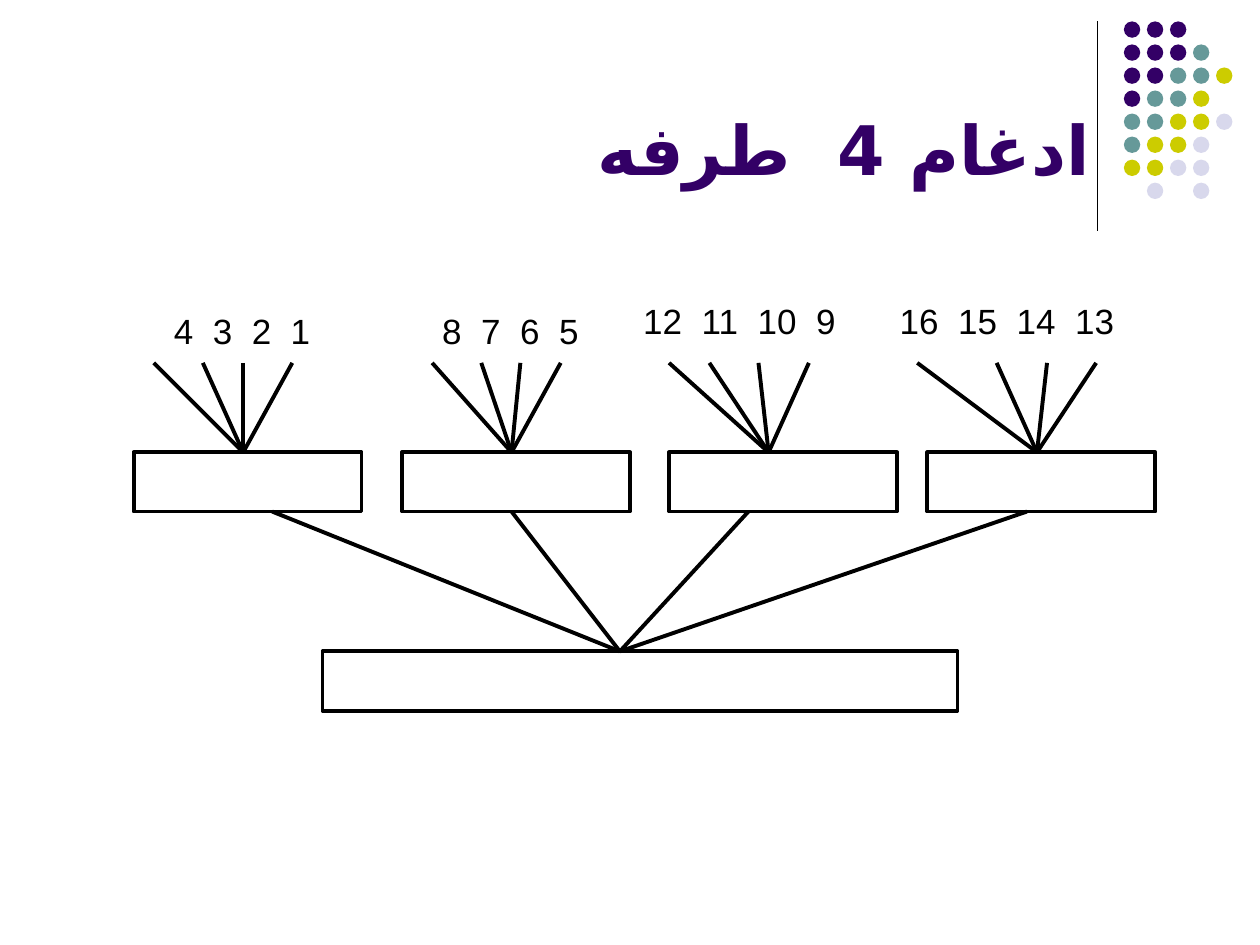
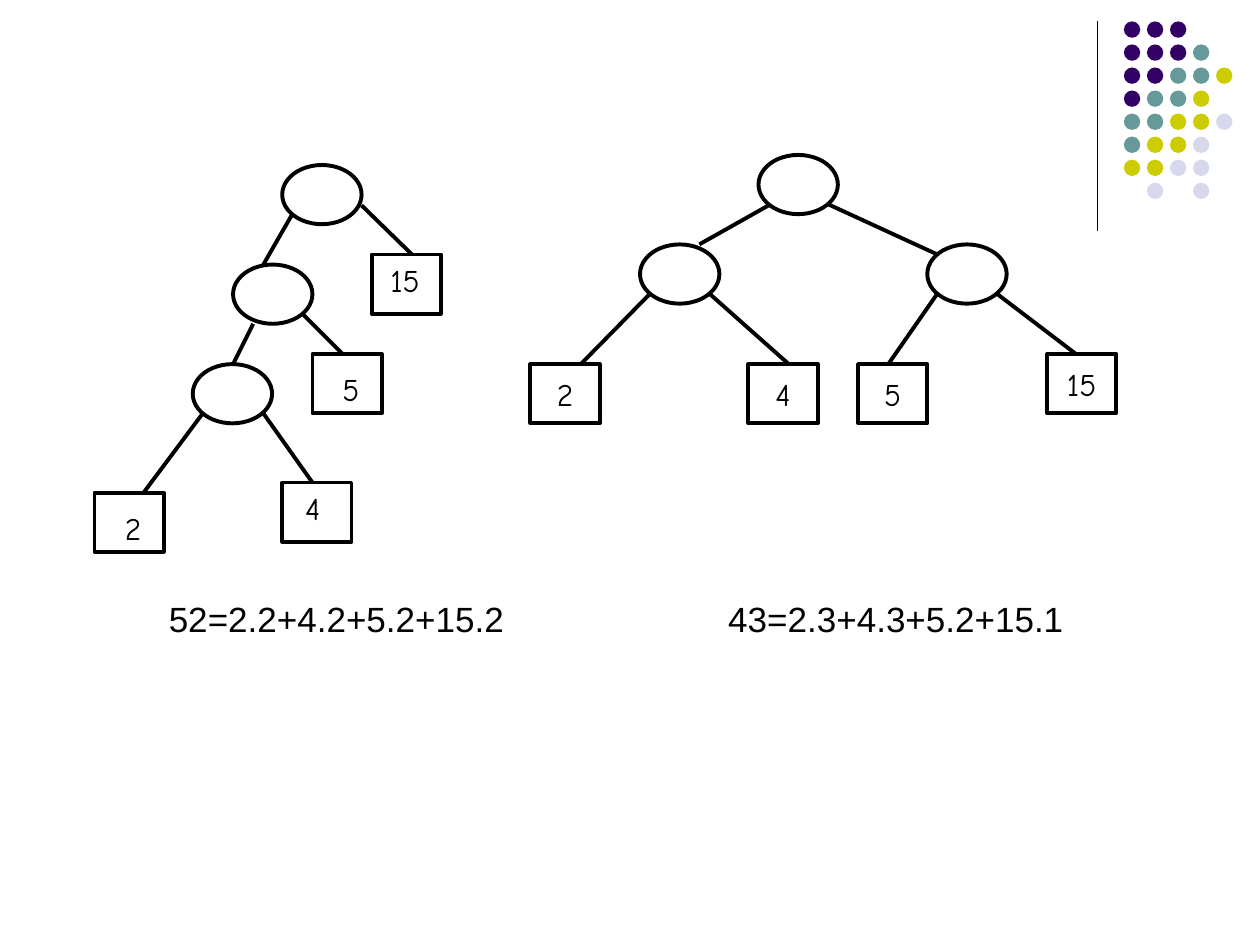
from dataclasses import dataclass

from lxml.etree import SubElement
from pptx import Presentation
from pptx.dml.color import RGBColor
from pptx.enum.shapes import MSO_CONNECTOR, MSO_SHAPE
from pptx.enum.text import MSO_ANCHOR, PP_ALIGN
from pptx.oxml.ns import qn
from pptx.util import Inches, Pt


@dataclass(frozen=True)
class Theme:
    ink: str = "000000"
    paper: str = "FFFFFF"
    purple: str = "330066"
    teal: str = "669999"
    olive: str = "CCCC00"
    lilac: str = "D8D8EC"
    title_font: str = "Karla"
    title_rtl_font: str = "DejaVu Sans"  # Persian letters of the title
    body_font: str = "Comic Neue"
    digit_font: str = "Arial"  # digits in right-to-left paragraphs
    title_size: float = 39
    label_size: float = 20
    node_size: float = 18
    stroke: float = 2.25
    thin: float = 0.75


THEME = Theme()

# Corner dots: one letter per dot, one string per row
DOT_ROWS = ["PPP", "PPPT", "PPTTY", "PTTY", "TTYYL", "TYYL", "YYLL", " L L"]
DOT_COLOURS = {"P": THEME.purple, "T": THEME.teal, "Y": THEME.olive, "L": THEME.lilac}
DOT_SIZE = 0.13
DOT_PITCH = 1.28 / 7

OVAL_SIZE = (0.63, 0.47)
LEAF_SIZE = (0.55, 0.47)


def colour(code):
    return RGBColor.from_string(code)


def add_line(page, start, end, width=THEME.stroke):
    line = page.shapes.add_connector(
        MSO_CONNECTOR.STRAIGHT, *(Inches(value) for value in (*start, *end)))
    line.line.color.rgb = colour(THEME.ink)
    line.line.width = Pt(width)
    SubElement(line._element.spPr, qn("a:effectLst"))


def add_outline(page, kind, left, top, size):
    shape = page.shapes.add_shape(
        kind, Inches(left), Inches(top), *(Inches(side) for side in size))
    shape.shadow.inherit = False
    shape.fill.solid()
    shape.fill.fore_color.rgb = colour(THEME.paper)
    shape.line.color.rgb = colour(THEME.ink)
    shape.line.width = Pt(THEME.stroke)
    return shape


def style_text(frame, size, font, align, ink=THEME.ink, bold=False, rtl_font=None):
    para = frame.paragraphs[0]
    para.alignment = align
    if rtl_font:
        para._p.get_or_add_pPr().set("rtl", "1")
    for span in para.runs:
        span.font.size = Pt(size)
        span.font.name = font
        span.font.bold = bold
        span.font.color.rgb = colour(ink)
        if rtl_font:
            SubElement(span.font._element, qn("a:cs")).set("typeface", rtl_font)


def add_label(page, text, left, top, width, size=THEME.label_size,
              rtl_font=THEME.digit_font):
    box = page.shapes.add_textbox(
        Inches(left), Inches(top), Inches(width), Inches(0.44))
    frame = box.text_frame
    frame.word_wrap = True
    frame.text = text
    style_text(frame, size, THEME.body_font, PP_ALIGN.RIGHT, rtl_font=rtl_font)


def add_leaf(page, left, top, text=""):
    leaf = add_outline(page, MSO_SHAPE.RECTANGLE, left, top, LEAF_SIZE)
    if text:
        frame = leaf.text_frame
        frame.text = text
        frame.word_wrap = False
        frame.vertical_anchor = MSO_ANCHOR.MIDDLE
        style_text(frame, THEME.node_size, THEME.body_font, PP_ALIGN.CENTER)


def add_ovals(page, places):
    for left, top in places:
        add_outline(page, MSO_SHAPE.OVAL, left, top, OVAL_SIZE)


def add_corner(page):
    """Rule and dot pattern at the top right of every page."""
    add_line(page, (8.71, 0.17), (8.71, 1.83), THEME.thin)
    group = page.shapes.add_group_shape()
    for row, letters in enumerate(DOT_ROWS):
        for column, letter in enumerate(letters):
            if letter not in DOT_COLOURS:
                continue
            dot = group.shapes.add_shape(
                MSO_SHAPE.OVAL,
                Inches(8.92 + column * DOT_PITCH), Inches(0.17 + row * DOT_PITCH),
                Inches(DOT_SIZE), Inches(DOT_SIZE))
            dot.shadow.inherit = False
            dot.fill.solid()
            dot.fill.fore_color.rgb = colour(DOT_COLOURS[letter])
            dot.line.fill.background()


def add_title(page, text):
    title = page.shapes.title
    title.left, title.top = Inches(0.5), Inches(0.13)
    title.width, title.height = Inches(8.25), Inches(1.42)
    frame = title.text_frame
    frame.text = text
    frame.vertical_anchor = MSO_ANCHOR.BOTTOM
    style_text(frame, THEME.title_size, THEME.title_font, PP_ALIGN.RIGHT,
               THEME.purple, True, THEME.title_rtl_font)


def build_merge_page(deck):
    page = deck.slides.add_slide(deck.slide_layouts[5])
    add_corner(page)
    add_title(page, "ادغام 4  طرفه")

    # Each run: box left, fan tip, fan starts, exit to the merged run
    runs = [
        (1.06, 1.93, (1.22, 1.61, 1.93, 2.32), 2.16),
        (3.19, 4.06, (3.43, 3.82, 4.13, 4.45), 4.06),
        (5.31, 6.1, (5.31, 5.63, 6.02, 6.42), 5.94),
        (7.36, 8.23, (7.28, 7.91, 8.31, 8.7), 8.15),
    ]
    fan_top, run_top, run_bottom, merged_top = 2.88, 3.59, 4.06, 5.17
    add_outline(page, MSO_SHAPE.RECTANGLE, 2.56, merged_top, (5.04, 0.47))
    for left, tip, starts, exit_x in runs:
        add_outline(page, MSO_SHAPE.RECTANGLE, left, run_top, (1.81, 0.47))
        add_line(page, (exit_x, run_bottom), (4.92, merged_top))
        for start in starts:
            add_line(page, (start, fan_top), (tip, run_top))

    # Input numbers above the fans
    for text, left, top, width in [
        ("1  2  3  4", 0.67, 2.41, 1.89),
        ("5  6  7  8", 3.11, 2.41, 1.58),
        ("9  10  11  12", 4.76, 2.33, 1.97),
        ("13  14  15  16", 6.84, 2.33, 2.1),
    ]:
        add_label(page, text, left, top, width)


def build_tree_page(deck):
    page = deck.slides.add_slide(deck.slide_layouts[6])
    add_corner(page)

    # Skewed tree, with its numbers set beside the leaf centres
    add_ovals(page, [(2.24, 1.31), (1.85, 2.1), (1.53, 2.89)])
    for left, top in [(2.95, 2.02), (2.48, 2.81), (0.75, 3.91), (2.24, 3.83)]:
        add_leaf(page, left, top)
    for text, left, top, width in [
        ("2", 0.83, 3.99, 0.39), ("4", 2.32, 3.83, 0.32),
        ("5", 2.56, 2.89, 0.39), ("15", 2.72, 2.02, 0.71),
    ]:
        add_label(page, text, left, top, width, THEME.node_size, rtl_font=None)

    # Balanced tree
    add_ovals(page, [(6.02, 1.23), (5.08, 1.94), (7.36, 1.94)])
    for text, left, top in [
        ("2", 4.21, 2.89), ("4", 5.94, 2.89), ("5", 6.81, 2.89), ("15", 8.31, 2.81),
    ]:
        add_leaf(page, left, top, text)

    # Branches of both trees
    for start, end in [
        ((2.32, 1.7), (2.09, 2.1)), ((2.87, 1.63), (3.27, 2.02)),
        ((2.01, 2.57), (1.85, 2.89)), ((2.4, 2.49), (2.72, 2.81)),
        ((1.61, 3.28), (1.14, 3.91)), ((2.09, 3.28), (2.48, 3.83)),
        ((6.1, 1.63), (5.55, 1.94)), ((6.57, 1.62), (7.44, 2.02)),
        ((5.16, 2.33), (4.61, 2.89)), ((5.63, 2.33), (6.26, 2.89)),
        ((7.44, 2.33), (7.05, 2.89)), ((7.91, 2.33), (8.54, 2.81)),
    ]:
        add_line(page, start, end)

    # Weighted path lengths
    add_label(page, "2.3+4.3+5.2+15.1=43", 5.54, 4.69, 3)
    add_label(page, "2.2+4.2+5.2+15.2=52", 1.1, 4.69, 3)


def main():
    deck = Presentation()
    deck.slide_width, deck.slide_height = Inches(10), Inches(7.5)
    build_merge_page(deck)
    build_tree_page(deck)
    deck.save("out.pptx")


if __name__ == "__main__":
    main()
